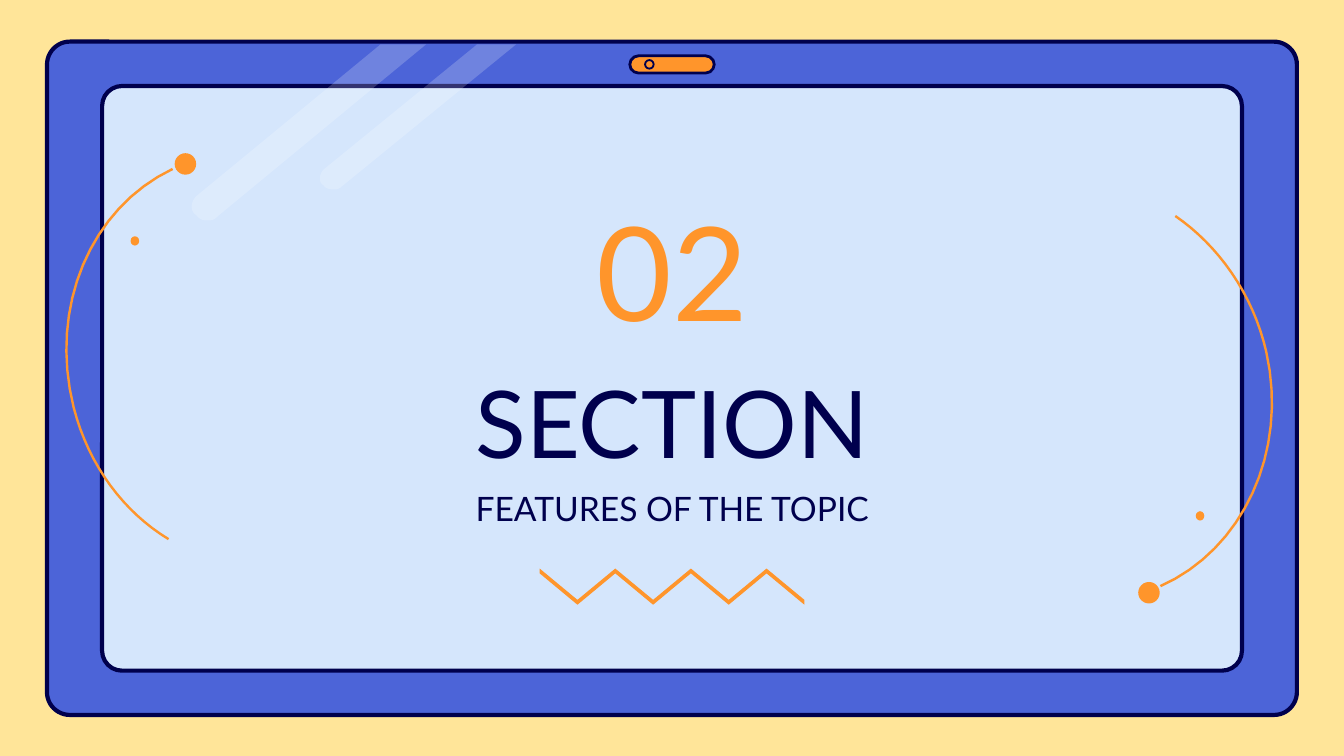
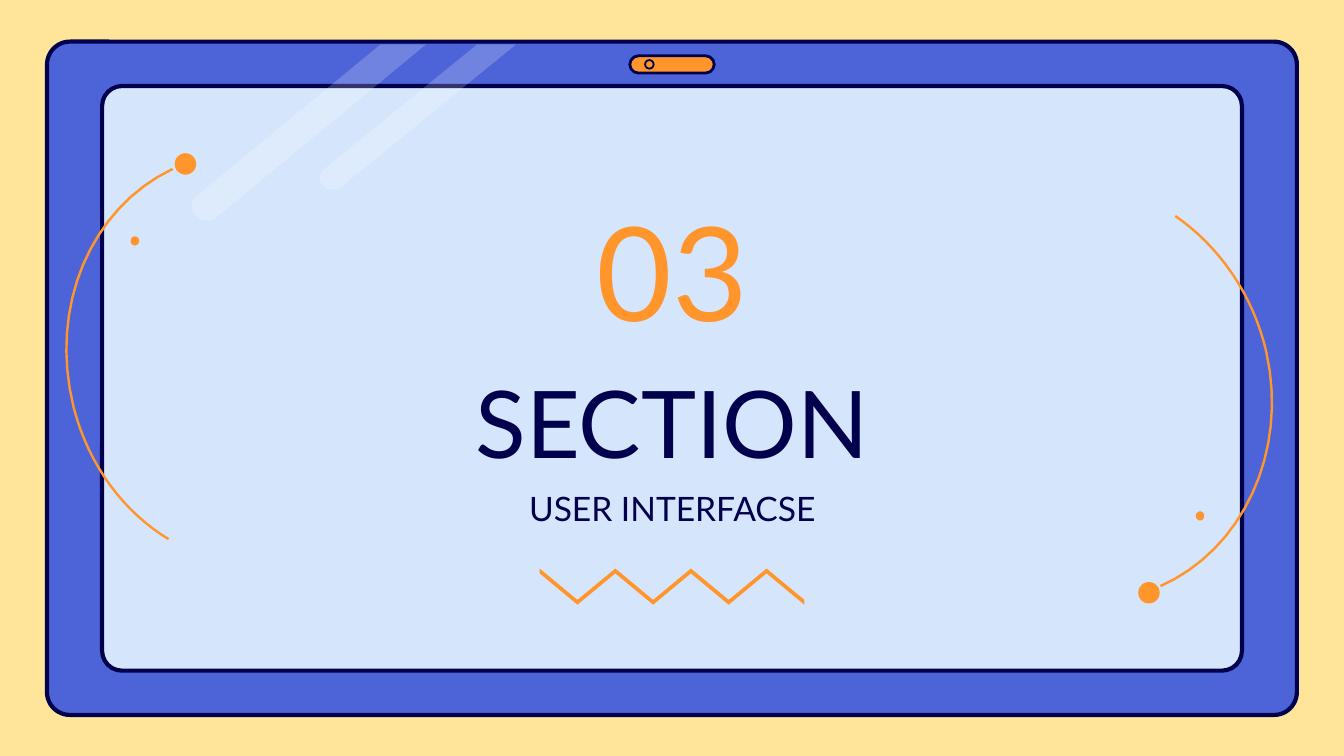
import pptx
import pptx.util
import pptx.dml.color
import pptx.enum.shapes
import pptx.enum.text
import lxml.etree

Pt = pptx.util.Pt
RGB = pptx.dml.color.RGBColor.from_string
KIND = pptx.enum.shapes.MSO_SHAPE
ANCHOR = pptx.enum.text.MSO_ANCHOR

COLORS = {
    "backdrop": "FFE599",
    "frame": "4C64D8",
    "screen": "D5E6FC",
    "ink": "00004D",
    "accent": "FF952B",
    "glare": "FFFFFF",
}
FONT = "Lato"
SECTIONS = [("02", "FEATURES OF THE TOPIC"), ("03", "USER INTERFACSE")]

# Rounded bars and the lens: kind, left, top, width, height, corner, fill, line width
TABLET_PARTS = [
    (KIND.ROUNDED_RECTANGLE, 25.2, 22.3, 669.6, 360.7, 0.034, "frame", 2.25),
    (KIND.ROUNDED_RECTANGLE, 54.7, 46.1, 610.6, 313.2, 0.034, "screen", 2.25),
]
CAMERA_PARTS = [
    (KIND.ROUNDED_RECTANGLE, 337.4, 29.9, 45.2, 9.2, 0.5, "accent", 1.5),
    (KIND.OVAL, 345.6, 32.2, 4.6, 4.6, None, None, 1),
]
# Dots at the ends of the arcs: left, top, width, height
DOTS = [(93.6, 82.1, 11.5, 11.5), (70, 126.6, 4.6, 5),
        (609.8, 311.8, 11.5, 11.5), (640.6, 273.9, 4.6, 5)]

# Glare: top edge (right x, left x) and the curve of the round lower end
GLARES = [
    (228.2, 203.8, [(116.6, 115.9), (114.5, 118.1), (113, 118.1), (110.9, 118.1),
                    (108.7, 118.1), (106.6, 117.4), (105.1, 115.2),
                    (101.5, 113), (102.2, 108), (105.1, 105.1)]),
    (276.5, 255.6, [(182.9, 100.1), (181.4, 101.5), (180, 101.5), (178.6, 101.5),
                    (176.4, 101.5), (174.2, 100.8), (173.5, 99.4),
                    (169.9, 97.2), (171.4, 92.9), (173.5, 90.7)]),
]
GLARE_TOP = 23.8

# Arcs: centre and outer curve; the inner edge is the same curve drawn in
ARCS = [
    ((565, 212), [(622, 314.6), (666, 295.2), (691.2, 242.6), (679, 188.3),
                  (671.8, 157), (653, 131), (630, 115.2)]),
    ((152, 192.5), [(92.2, 90), (48.2, 110.9), (25.2, 164.2), (38.9, 218.5),
                    (47, 250), (66.2, 275), (90, 289.4)]),
]
ARC_INSET = 0.989

# Zigzag: corners alternate between two heights
ZIGZAG = [(289.1 + 20.26 * i, 322.7 if i % 2 else 305.9) for i in range(8)]
ZIGZAG_HALF = 1.3


def curve(points, steps=16):
    """Sample a chain of cubic curves."""
    samples = [points[0]]
    for first in range(0, len(points) - 1, 3):
        a, b, c, d = points[first:first + 4]
        for step in range(1, steps + 1):
            t = step / steps
            u = 1 - t
            samples.append(tuple(
                u**3 * a[k] + 3 * u * u * t * b[k] + 3 * u * t * t * c[k] + t**3 * d[k]
                for k in (0, 1)))
    return samples


def add_outline(page, points, color):
    """Add a closed, filled outline without a border."""
    corners = [(Pt(x), Pt(y)) for x, y in points]
    builder = page.shapes.build_freeform(*corners[0])
    builder.add_line_segments(corners[1:], close=True)
    shape = builder.convert_to_shape()
    shape.shadow.inherit = False
    shape.fill.solid()
    shape.fill.fore_color.rgb = RGB(COLORS[color])
    shape.line.fill.background()
    return shape


deck = pptx.Presentation()
deck.slide_width, deck.slide_height = Pt(720), Pt(405)

for number, topic in SECTIONS:
    page = deck.slides.add_slide(deck.slide_layouts[6])
    page.background.fill.solid()
    page.background.fill.fore_color.rgb = RGB(COLORS["backdrop"])

    # Tablet with its camera, and the glare between them
    for parts in (TABLET_PARTS, CAMERA_PARTS):
        for kind, left, top, width, height, corner, fill, weight in parts:
            part = page.shapes.add_shape(kind, Pt(left), Pt(top), Pt(width), Pt(height))
            part.shadow.inherit = False
            if corner is not None:
                part.adjustments[0] = corner
            if fill:
                part.fill.solid()
                part.fill.fore_color.rgb = RGB(COLORS[fill])
            else:
                part.fill.background()
            part.line.color.rgb = RGB(COLORS["ink"])
            part.line.width = Pt(weight)

        if parts is TABLET_PARTS:
            for right, left, end in GLARES:
                edge = [(right, GLARE_TOP), *curve(end), (left, GLARE_TOP)]
                glare = add_outline(page, edge, "glare")
                tint = glare.fill._xPr.find(".//" + pptx.oxml.ns.qn("a:srgbClr"))
                lxml.etree.SubElement(tint, pptx.oxml.ns.qn("a:alpha"), val="20000")

    # Title, topic and section number
    for words, top, height, size, color, anchor in [
        ("SECTION", 167, 88.6, 50, "ink", ANCHOR.BOTTOM),
        (topic, 261.4, 26.6, 18, "ink", ANCHOR.TOP),
        (number, 116.6, 55.4, 70, "accent", ANCHOR.MIDDLE),
    ]:
        box = page.shapes.add_textbox(Pt(196.4), Pt(top), Pt(327.6), Pt(height))
        frame = box.text_frame
        frame.word_wrap = True
        frame.margin_left = frame.margin_right = frame.margin_top = frame.margin_bottom = 0
        frame.vertical_anchor = anchor
        frame.text = words
        para = frame.paragraphs[0]
        para.alignment = pptx.enum.text.PP_ALIGN.CENTER
        span = para.runs[0]
        span.font.name = FONT
        span.font.size = Pt(size)
        span.font.color.rgb = RGB(COLORS[color])

    # Zigzag under the topic
    upper = [(x, y - ZIGZAG_HALF) for x, y in ZIGZAG]
    lower = [(x, y + ZIGZAG_HALF) for x, y in reversed(ZIGZAG)]
    add_outline(page, upper + lower, "accent")

    # Arcs and dots on both sides
    for (cx, cy), bend in ARCS:
        outer = curve(bend)
        inner = [(cx + (x - cx) * ARC_INSET, cy + (y - cy) * ARC_INSET)
                 for x, y in reversed(outer)]
        add_outline(page, outer + inner, "accent")
    for left, top, width, height in DOTS:
        dot = page.shapes.add_shape(KIND.OVAL, Pt(left), Pt(top), Pt(width), Pt(height))
        dot.shadow.inherit = False
        dot.fill.solid()
        dot.fill.fore_color.rgb = RGB(COLORS["accent"])
        dot.line.fill.background()

deck.save("out.pptx")
